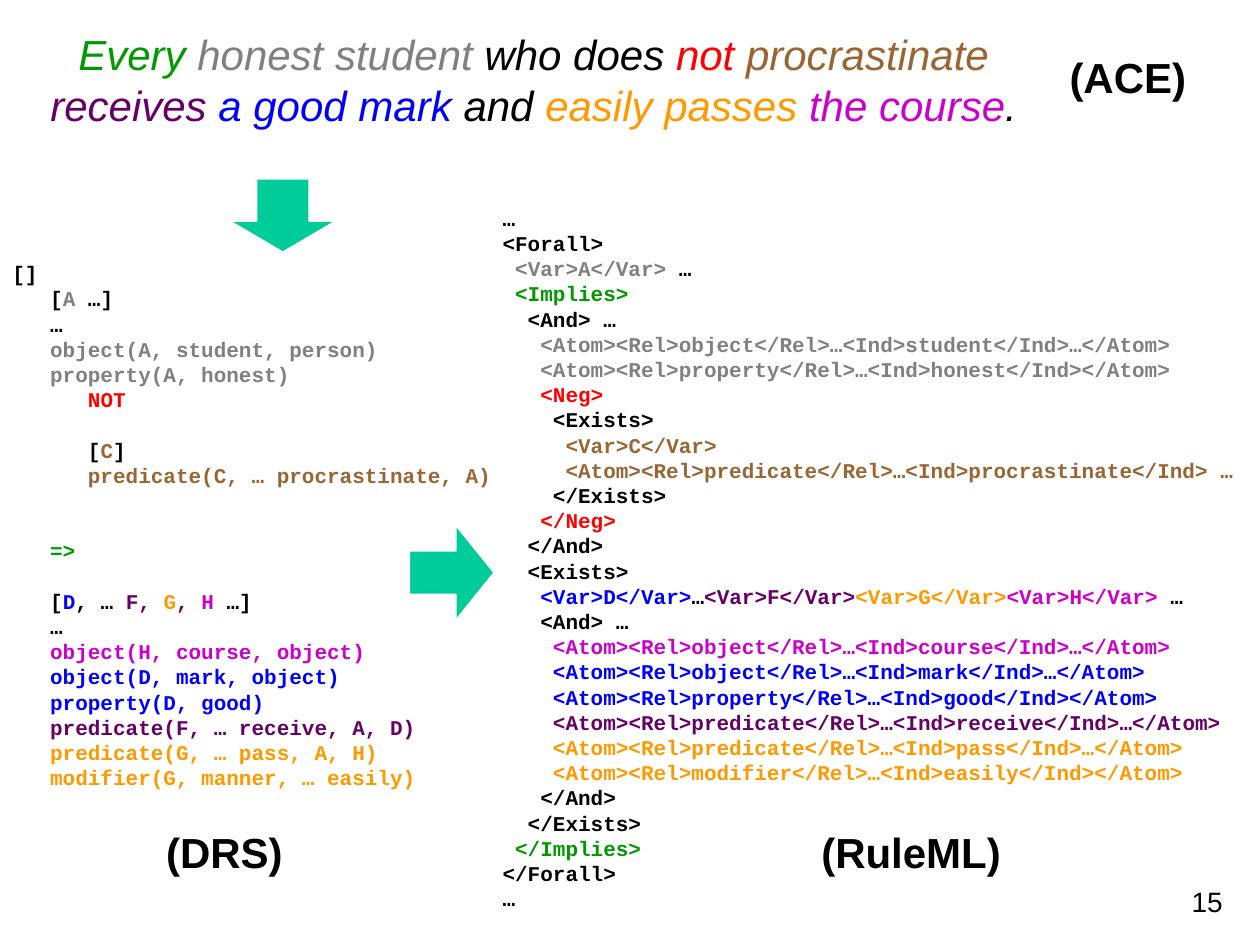
from dataclasses import dataclass, field

from pptx import Presentation
from pptx.dml.color import RGBColor as RGB
from pptx.enum.shapes import MSO_SHAPE as Preset
from pptx.enum.text import PP_ALIGN as Align
from pptx.util import Inches, Pt


@dataclass(frozen=True)
class Theme:
    sans: str = "Arial"
    mono: str = "Courier New"
    code: int = 12
    page: int = 16
    head: int = 24
    pitch: float = 1.2  # line height as a multiple of type size
    arrow: str = "00CC99"
    edge: str = "FFFFFF"
    ink: dict = field(default_factory=lambda: {
        "k": "000000",  # plain
        "s": "808080",  # student
        "e": "009900",  # every
        "n": "FF0000",  # not
        "c": "996633",  # procrastinate
        "r": "660066",  # receive
        "m": "0000FF",  # mark
        "p": "FF9900",  # pass
        "h": "CC00CC",  # course
    })


@dataclass(frozen=True)
class Box:
    left: float
    top: float
    width: float
    height: float

    def lengths(self) -> list:
        return [Inches(n) for n in (self.left, self.top, self.width, self.height)]


@dataclass(frozen=True)
class Text:
    box: Box
    body: str  # "~" and an ink key switch the colour within a line
    size: int
    face: str
    bold: bool = False
    slant: bool = False
    align: Align = Align.LEFT


@dataclass(frozen=True)
class Arrow:
    box: Box
    kind: Preset
    turns: tuple


LOOK = Theme()

ACE = """\
~eEvery ~shonest student~k who does ~nnot ~cprocrastinate
~rreceives ~ma good mark~k and ~peasily passes ~hthe course~k."""

DRS = """\
[]
   [~sA~k …]
   …
~s   object(A, student, person)
~s   property(A, honest)
      ~nNOT

      [~cC~k]
~c      predicate(C, … procrastinate, A)


   ~e=>

   [~mD~k, … ~rF, ~pG~r, ~hH ~k…]
   …
~h   object(H, course, object)
~m   object(D, mark, object)
~m   property(D, good)
~r   predicate(F, … receive, A, D)
~p   predicate(G, … pass, A, H)
~p   modifier(G, manner, … easily)"""

RULEML = """\
…
<Forall>
 ~s<Var>A</Var>~k …
~e <Implies>
  <And> …
~s   <Atom><Rel>object</Rel>…<Ind>student</Ind>…</Atom>
~s   <Atom><Rel>property</Rel>…<Ind>honest</Ind></Atom>
   ~n<Neg>
    <Exists>
     ~c<Var>C</Var>
~c     <Atom><Rel>predicate</Rel>…<Ind>procrastinate</Ind> …
    </Exists>
   ~n</Neg>
  </And>
  <Exists>
   ~m<Var>D</Var>~k…~r<Var>F</Var>~p<Var>G</Var>~h<Var>H</Var>~k …
   <And> …
~h    <Atom><Rel>object</Rel>…<Ind>course</Ind>…</Atom>
~m    <Atom><Rel>object</Rel>…<Ind>mark</Ind>…</Atom>
~m    <Atom><Rel>property</Rel>…<Ind>good</Ind></Atom>
    ~r<Atom><Rel>predicate</Rel>…<Ind>receive</Ind>…</Atom>
~p    <Atom><Rel>predicate</Rel>…<Ind>pass</Ind>…</Atom>
~p    <Atom><Rel>modifier</Rel>…<Ind>easily</Ind></Atom>
   </And>
  </Exists>
~e </Implies>
</Forall>
…"""

TEXTS = [
    Text(Box(0, 2.02, 4.17, 4.33), DRS, LOOK.code, LOOK.mono, bold=True),
    Text(Box(3.89, 1.58, 6.11, 5.7), RULEML, LOOK.code, LOOK.mono, bold=True),
    Text(Box(0, 0.18, 8.47, 0.9), ACE, LOOK.head, LOOK.sans, slant=True,
         align=Align.CENTER),
    Text(Box(9.36, 6.97, 0.5, 0.37), "15", LOOK.page, LOOK.sans),
    Text(Box(8.39, 0.36, 1.26, 0.5), "(ACE)", LOOK.head, LOOK.sans, bold=True),
    Text(Box(1.22, 6.51, 1.14, 0.5), "(DRS)", LOOK.head, LOOK.sans, bold=True),
    Text(Box(6.42, 6.51, 1.65, 0.5), "(RuleML)", LOOK.head, LOOK.sans, bold=True),
]

ARROWS = [
    Arrow(Box(3.25, 4.17, 0.67, 0.75), Preset.RIGHT_ARROW, (0.46, 0.45)),
    Arrow(Box(1.83, 1.42, 0.83, 0.58), Preset.DOWN_ARROW, (0.5, 0.42)),
]


def add_line(para, line: str) -> None:
    """Write one line as runs, split where its colour changes."""
    parts = ("~k" + line).split("~")[1:]
    for part in parts:
        key, words = part[0], part[1:]
        if words:
            run = para.add_run()
            run.text = words
            run.font.color.rgb = RGB.from_string(LOOK.ink[key])


def add_text(slide, text: Text) -> None:
    frame = slide.shapes.add_textbox(*text.box.lengths()).text_frame
    frame.word_wrap = True
    pitch = text.size * LOOK.pitch
    para, gap = frame.paragraphs[0], 0
    for row, line in enumerate(text.body.split("\n")):
        if not line:  # an empty line becomes space before the next
            gap += pitch
            continue
        if row:
            para = frame.add_paragraph()
        add_line(para, line)
        para.alignment = text.align
        para.line_spacing = Pt(pitch)
        para.space_before = Pt(gap)
        para.font.name, para.font.size = text.face, Pt(text.size)
        para.font.bold, para.font.italic = text.bold, text.slant
        gap = 0


def add_arrow(slide, arrow: Arrow) -> None:
    shape = slide.shapes.add_shape(arrow.kind, *arrow.box.lengths())
    shape.shadow.inherit = False
    for spot, turn in enumerate(arrow.turns):
        shape.adjustments[spot] = turn
    shape.fill.solid()
    shape.fill.fore_color.rgb = RGB.from_string(LOOK.arrow)
    shape.line.color.rgb = RGB.from_string(LOOK.edge)
    shape.line.width = Pt(0.75)


def main() -> None:
    deck = Presentation()
    deck.slide_width, deck.slide_height = Inches(10), Inches(7.5)
    slide = deck.slides.add_slide(deck.slide_layouts[6])
    # Sentence, its two forms and their labels
    for text in TEXTS:
        add_text(slide, text)
    # Steps from one form to the next
    for arrow in ARROWS:
        add_arrow(slide, arrow)
    deck.save("out.pptx")


if __name__ == "__main__":
    main()
